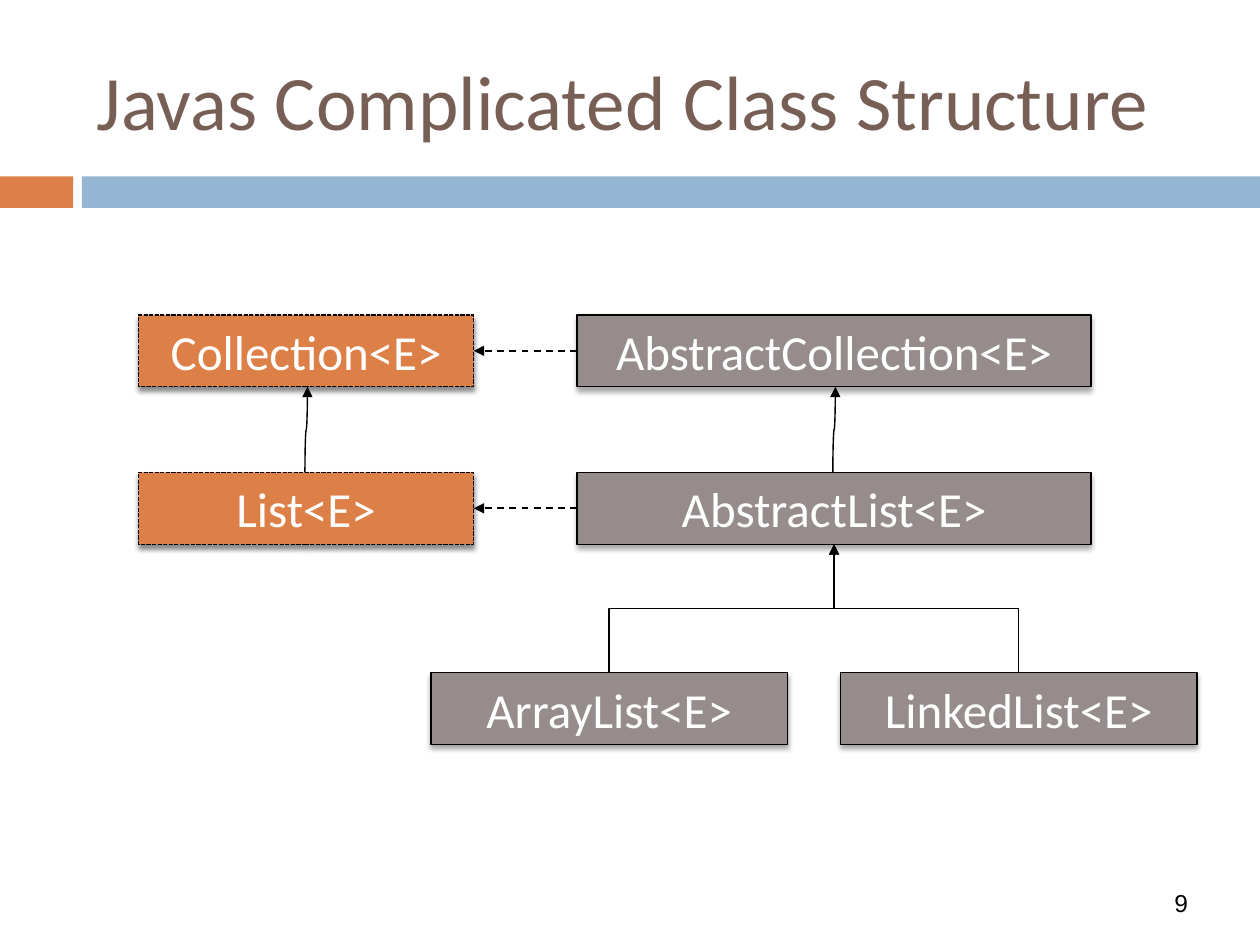
import pptx
import pptx.util
import pptx.dml.color
import pptx.enum.dml
import pptx.enum.shapes
import pptx.enum.text
import pptx.oxml
import pptx.oxml.ns

RGBColor = pptx.dml.color.RGBColor
ORANGE = RGBColor(0xDD, 0x80, 0x47)
BLUE = RGBColor(0x94, 0xB6, 0xD2)
GRAY = RGBColor(0x96, 0x8C, 0x8C)
BROWN = RGBColor(0x77, 0x5F, 0x55)
BLACK = RGBColor(0, 0, 0)
WHITE = RGBColor(255, 255, 255)

Inches = pptx.util.Inches
Align = pptx.enum.text.PP_ALIGN
Anchor = pptx.enum.text.MSO_ANCHOR
Dash = pptx.enum.dml.MSO_LINE
Link = pptx.enum.shapes.MSO_CONNECTOR

TITLE = "Javas Complicated Class Structure"
PAGE_NUMBER = "9"
BANDS = [(0, 0.58, ORANGE), (0.65, 9.35, BLUE)]
BOX_HEIGHT = 0.57
ROWS = [2.5, 3.75, 5.34]
COLUMNS = {"interface": (1.1, 2.66), "abstract": (4.58, 4.08),
           "left": (3.42, 2.83), "right": (6.67, 2.83)}
STYLES = {
    "interface": dict(fill=ORANGE, width=0.79, dash=Dash.SQUARE_DOT, alpha=45, distance=2.4),
    "class": dict(fill=GRAY, width=0.75, dash=None, alpha=35, distance=2),
}
TYPES = [
    ("Collection<E>", "interface", 0, "interface"),
    ("List<E>", "interface", 1, "interface"),
    ("AbstractCollection<E>", "abstract", 0, "class"),
    ("AbstractList<E>", "abstract", 1, "class"),
    ("ArrayList<E>", "left", 2, "class"),
    ("LinkedList<E>", "right", 2, "class"),
]
EXTENDS = [
    ("List<E>", "Collection<E>", Link.CURVE, 0.02),
    ("AbstractList<E>", "AbstractCollection<E>", Link.CURVE, 0.02),
    ("ArrayList<E>", "AbstractList<E>", Link.ELBOW, 0),
    ("LinkedList<E>", "AbstractList<E>", Link.ELBOW, 0),
]
IMPLEMENTS = [
    ("AbstractCollection<E>", "Collection<E>"),
    ("AbstractList<E>", "List<E>"),
]


def element(tag, **attributes):
    node = pptx.oxml.parse_xml(f"<a:{tag} {pptx.oxml.ns.nsdecls('a')}/>")
    for name, value in attributes.items():
        node.set(name, str(value))
    return node


def write_text(shape, text, size, color, font="Calibri", align=Align.CENTER, anchor=Anchor.TOP):
    frame = shape.text_frame
    frame.word_wrap = True
    frame.vertical_anchor = anchor
    para = frame.paragraphs[0]
    para.alignment = align
    span = para.add_run()
    span.text = text
    span.font.size = pptx.util.Pt(size)
    span.font.name = font
    span.font.color.rgb = color


def add_rectangle(page, left, top, width, height, fill):
    box = page.shapes.add_shape(pptx.enum.shapes.MSO_SHAPE.RECTANGLE,
                                *map(Inches, (left, top, width, height)))
    box.fill.solid()
    box.fill.fore_color.rgb = fill
    box.line.fill.background()
    box.shadow.inherit = False
    return box


def add_text_box(page, left, top, width, height, text, **style):
    box = page.shapes.add_textbox(*map(Inches, (left, top, width, height)))
    write_text(box, text, **style)


def draw_line(line, width, dash):
    line.color.rgb = BLACK
    line.width = pptx.util.Pt(width)
    if dash:
        line.dash_style = dash


def add_type(page, name, column, row, style):
    left, width = COLUMNS[column]
    box = add_rectangle(page, left, ROWS[row], width, BOX_HEIGHT, style["fill"])
    draw_line(box.line, style["width"], style["dash"])
    shadow = element("outerShdw", blurRad=pptx.util.Pt(3), dist=pptx.util.Pt(style["distance"]),
                     dir=5400000, rotWithShape=0)
    color = element("srgbClr", val=BLACK)
    color.append(element("alpha", val=style["alpha"] * 1000))
    shadow.append(color)
    box._element.spPr.find(pptx.oxml.ns.qn("a:effectLst")).append(shadow)
    write_text(box, name, size=28, color=WHITE)
    return box


def add_arrow(page, kind, start, end, width, dash=None):
    arrow = page.shapes.add_connector(kind, *map(int, start + end))
    draw_line(arrow.line, width, dash)
    arrow.line._get_or_add_ln().append(element("tailEnd", type="triangle"))
    arrow._element.spPr.append(element("effectLst"))
    return arrow


def add_upward_arrow(page, kind, child, parent, lean):
    offset = Inches(lean / 2)
    start = (child.left + child.width / 2 - offset, child.top)
    end = (parent.left + parent.width / 2 + offset, parent.top + parent.height)
    arrow = add_arrow(page, kind, start, end, 0.79)
    rise, shift = start[1] - end[1], end[0] - start[0]
    arrow.left = int((start[0] + end[0] - rise) / 2)
    arrow.top = int((start[1] + end[1] - abs(shift)) / 2)
    arrow.width, arrow.height = int(rise), int(abs(shift))
    frame = arrow._element.spPr.xfrm
    frame.set("rot", "16200000")
    frame.attrib.pop("flipH", None)
    frame.set("flipV", "1" if shift < 0 else "0")


def main():
    deck = pptx.Presentation()
    deck.slide_width, deck.slide_height = Inches(10), Inches(7.5)
    page = deck.slides.add_slide(deck.slide_layouts[6])

    for left, width, color in BANDS:
        add_rectangle(page, left, 1.4, width, 0.25, color)
    add_text_box(page, 9, 7, 0.75, 0.33, PAGE_NUMBER, size=14, color=BLACK, font="Arial")
    add_text_box(page, 0.67, 0.25, 8.92, 1.08, TITLE, size=44, color=BROWN,
                 align=Align.LEFT, anchor=Anchor.MIDDLE)

    boxes = {name: add_type(page, name, column, row, STYLES[style])
             for name, column, row, style in TYPES}
    for child, parent, kind, lean in EXTENDS:
        add_upward_arrow(page, kind, boxes[child], boxes[parent], lean)
    for child, parent in IMPLEMENTS:
        source, target = boxes[child], boxes[parent]
        middle = source.top + source.height / 2
        add_arrow(page, Link.STRAIGHT, (source.left, middle),
                  (target.left + target.width, middle), 1, Dash.DASH)

    deck.save("out.pptx")


if __name__ == "__main__":
    main()
